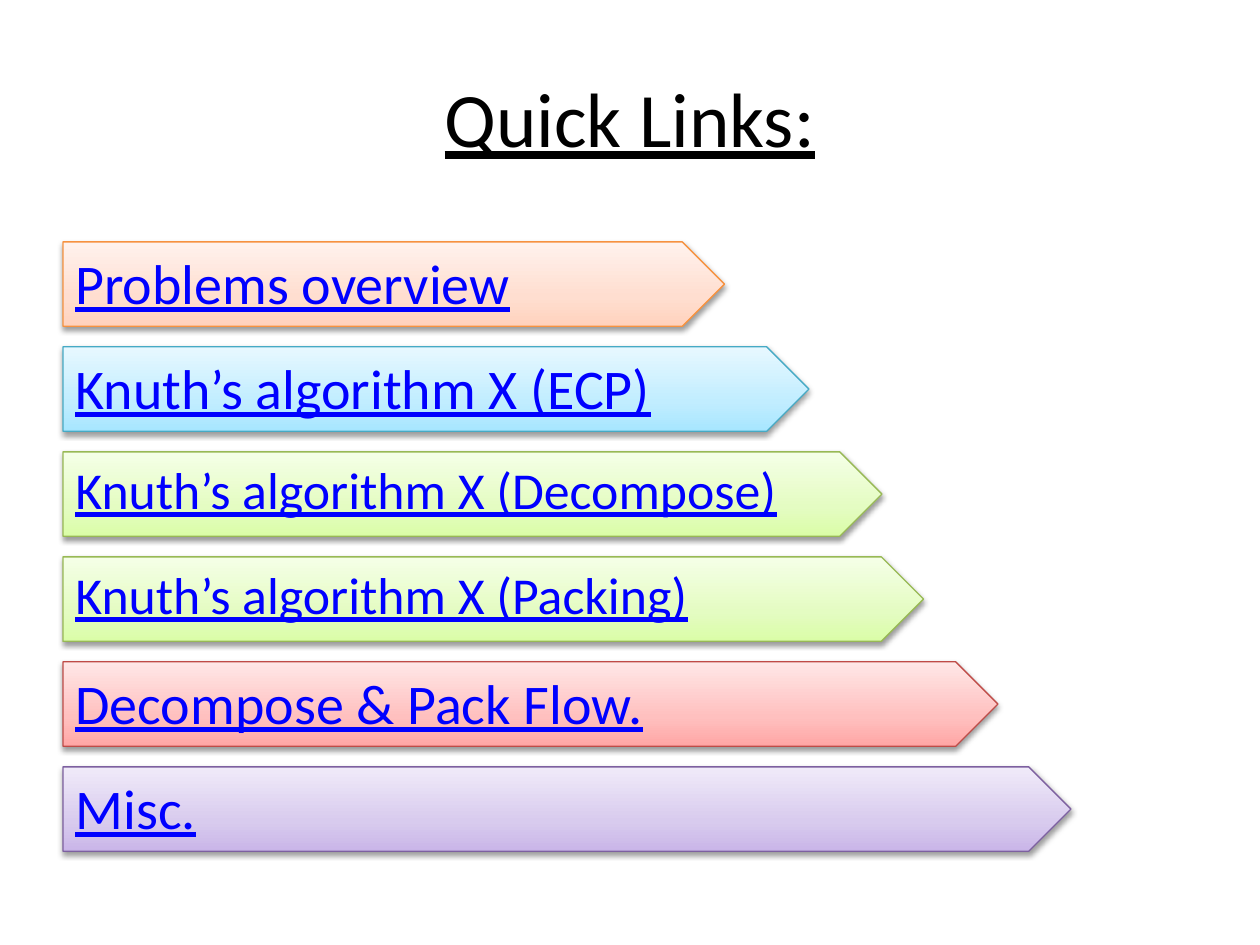
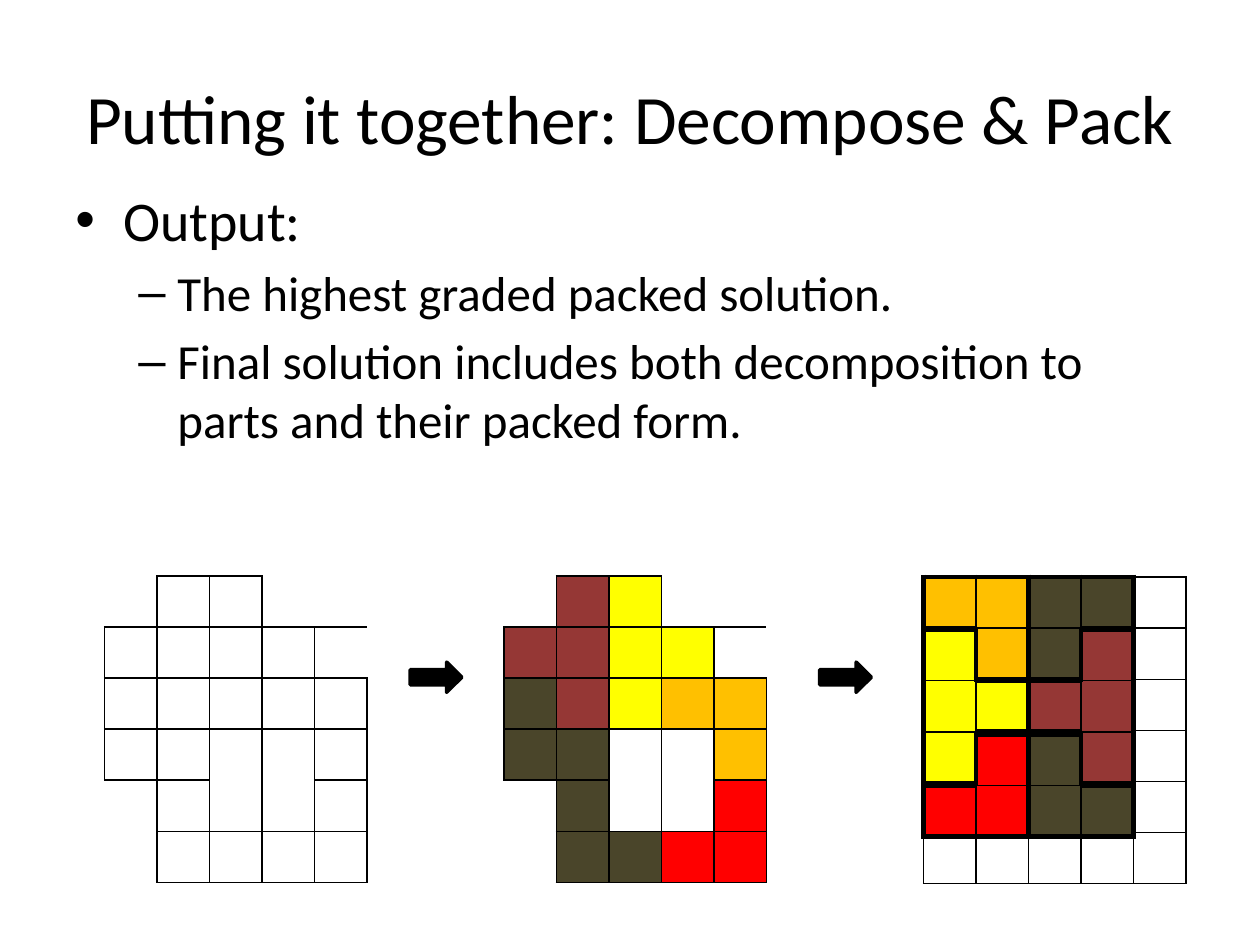
from copy import deepcopy
from lxml import etree
from pptx import Presentation
from pptx.dml.color import RGBColor
from pptx.enum import shapes, text
from pptx.oxml import ns
from pptx.util import Inches, Pt

BLACK = RGBColor(0x00, 0x00, 0x00)
WHITE = RGBColor(0xFF, 0xFF, 0xFF)
LINK_BLUE = RGBColor(0x00, 0x00, 0xFF)
MAROON = RGBColor(0x95, 0x37, 0x35)
YELLOW = RGBColor(0xFF, 0xFF, 0x00)
ORANGE = RGBColor(0xFF, 0xC0, 0x00)
OLIVE = RGBColor(0x4A, 0x45, 0x2A)
RED = RGBColor(0xFF, 0x00, 0x00)

PEACH_BAND = [RGBColor.from_string(c) for c in ("FFD2BD", "FFDED0", "FFF2ED", "F69240")]
SKY_BAND = [RGBColor.from_string(c) for c in ("A7E6FF", "C1EDFF", "E7F8FF", "46AAC5")]
LIME_BAND = [RGBColor.from_string(c) for c in ("DAFDA7", "E4FCC2", "F5FFE7", "98B955")]
ROSE_BAND = [RGBColor.from_string(c) for c in ("FFA6A5", "FFC0BF", "FFE7E7", "BF4C48")]
LILAC_BAND = [RGBColor.from_string(c) for c in ("C9B5E8", "D8CBEE", "F0EAF9", "7D60A0")]

FONT = "Calibri"
TITLE_FORMAT = {"name": FONT, "size": Pt(44), "underline": True}
LINK_FORMAT = {"name": FONT, "size": Pt(32), "underline": True}
BODY_FORMAT = {"name": FONT, "size": Pt(32)}

CELL_COLORS = {"W": WHITE, "M": MAROON, "Y": YELLOW, "O": ORANGE,
               "D": OLIVE, "R": RED, "_": WHITE}
BLANKS = "._"
NO_GRID_STYLE = "{2D5ABB26-0587-4C30-8999-92F81FD0307C}"
COL_WIDTH = 5 / 12
ROW_HEIGHT = 0.405
SIDES = {"a:lnL": (0, -1), "a:lnR": (0, 1), "a:lnT": (-1, 0), "a:lnB": (1, 0)}


def write(paragraph, words, color, formats):
    run = paragraph.add_run()
    run.text = words
    run.font.color.rgb = color
    for attribute, value in formats.items():
        setattr(run.font, attribute, value)


def draw_grid(slide, left, top, rows, outline=1, merges=()):
    height, width = len(rows), len(rows[0])
    frame = slide.shapes.add_table(height, width, Inches(left), Inches(top),
                                   Inches(COL_WIDTH * width), Inches(ROW_HEIGHT * height))
    grid = frame.table
    grid.first_row = grid.horz_banding = False
    frame._element.find(".//" + ns.qn("a:tableStyleId")).text = NO_GRID_STYLE
    for column in grid.columns:
        column.width = Inches(COL_WIDTH)
    for row in grid.rows:
        row.height = Inches(ROW_HEIGHT)
    for r, line in enumerate(rows):
        for c, code in enumerate(line):
            cell = grid.cell(r, c)
            properties = cell._tc.get_or_add_tcPr()
            for tag, (down, across) in SIDES.items():
                y, x = r + down, c + across
                inside = 0 <= y < height and 0 <= x < width
                neighbour = rows[y][x] if inside else "."
                if code in BLANKS and neighbour in BLANKS:
                    continue
                edge = outline if code in BLANKS or neighbour in BLANKS else 1
                border = etree.SubElement(properties, ns.qn(tag), w=str(Pt(edge)))
                paint = etree.SubElement(border, ns.qn("a:solidFill"))
                etree.SubElement(paint, ns.qn("a:srgbClr"), val=str(BLACK))
            if code == ".":
                cell.fill.background()
            else:
                cell.fill.solid()
                cell.fill.fore_color.rgb = CELL_COLORS[code]
    for first, last in merges:
        grid.cell(*first).merge(grid.cell(*last))


deck = Presentation()
deck.slide_width, deck.slide_height = Inches(10), Inches(7.5)

slides = []
for heading, changes in [
    ("Quick Links:", {}),
    ("Putting it together: Decompose & Pack", {"size": Pt(39.6), "underline": None}),
]:
    slide = deck.slides.add_slide(deck.slide_layouts[5])
    title = slide.shapes.title
    title.left, title.top = Inches(0.5), Inches(0.3)
    title.width, title.height = Inches(9), Inches(1.25)
    title.text_frame.vertical_anchor = text.MSO_ANCHOR.MIDDLE
    title.text_frame.paragraphs[0].alignment = text.PP_ALIGN.CENTER
    write(title.text_frame.paragraphs[0], heading, BLACK, {**TITLE_FORMAT, **changes})
    slides.append(slide)
links_slide, output_slide = slides

links = [
    ("Problems overview", 5.25, 5.25, 32, PEACH_BAND),
    ("Knuth’s algorithm X (ECP)", 5.92, 5.25, 32, SKY_BAND),
    ("Knuth’s algorithm X (Decompose)", 6.5, 6.08, 29.6, LIME_BAND),
    ("Knuth’s algorithm X (Packing)", 6.83, 5.25, 29.6, LIME_BAND),
    ("Decompose & Pack Flow.", 7.42, 6.92, 32, ROSE_BAND),
    ("Misc.", 8, 5.25, 32, LILAC_BAND),
]
for index, (words, band_width, label_width, size, colors) in enumerate(links):
    top = Inches(1.92 + index * 5 / 6)
    band = links_slide.shapes.add_shape(shapes.MSO_SHAPE.PENTAGON, Inches(0.5), top,
                                        Inches(band_width), Inches(0.67))
    band.fill.gradient()
    band.fill.gradient_angle = 90
    first_stop = band._element.spPr.find(".//" + ns.qn("a:gs"))
    first_stop.addnext(deepcopy(first_stop))
    for stop, position, color in zip(band.fill.gradient_stops, (0, 0.35, 1), colors):
        stop.position = position
        stop.color.rgb = color
    band.line.color.rgb = colors[3]
    band.line.width = Pt(0.75)
    effects = etree.SubElement(band._element.spPr, ns.qn("a:effectLst"))
    shadow = etree.SubElement(effects, ns.qn("a:outerShdw"), blurRad=str(Pt(3.1)),
                              dist=str(Pt(1.6)), dir="5400000", rotWithShape="0")
    shade = etree.SubElement(shadow, ns.qn("a:srgbClr"), val=str(BLACK))
    etree.SubElement(shade, ns.qn("a:alpha"), val="38000")

    label = links_slide.shapes.add_textbox(Inches(0.5), top, Inches(label_width), Inches(0.67))
    label.text_frame.word_wrap = True
    write(label.text_frame.paragraphs[0], words, LINK_BLUE, {**LINK_FORMAT, "size": Pt(size)})

draw_grid(output_slide, 7.33, 4.58, ["WWWWW"] * 6)
packed_parts = [
    (0, 1, ["Y.", "YY", "Y."]),
    (0, 0, ["OO", ".O"]),
    (2, 1, [".M", "MM", ".M"]),
    (0, 3, [".R", "RR"]),
    (2, 3, ["D.", "DD"]),
    (2, 0, ["DD", "D."]),
]
for column, row, part in packed_parts:
    draw_grid(output_slide, 7.33 + column * COL_WIDTH, 4.58 + row * COL_WIDTH, part, outline=3)

decomposed = ["_MY__", "MMYY_", "DMYOO", "DD__O", "_D__R", "_DDRR"]
undivided = ["".join("_" if code == "_" else "W" for code in line) for line in decomposed]
gaps = [((0, 3), (0, 4)), ((3, 2), (4, 2)), ((3, 3), (4, 3)), ((4, 0), (5, 0))]
for left, pattern in [(0.83, undivided), (4, decomposed)]:
    draw_grid(output_slide, left, 4.57, pattern, merges=gaps)

for left in (3.34, 6.59):
    step = output_slide.shapes.add_shape(shapes.MSO_SHAPE.UP_ARROW, Inches(left), Inches(5.17),
                                         Inches(0.24), Inches(0.41))
    step.rotation = 90
    step.shadow.inherit = False
    step.fill.solid()
    step.fill.fore_color.rgb = step.line.color.rgb = BLACK
    step.line.width = Pt(2)

summary = output_slide.shapes.add_textbox(Inches(0.5), Inches(1.42), Inches(9), Inches(4.95))
summary.text_frame.word_wrap = True
points = [
    ("Output:", 0, 32),
    ("The highest graded packed solution.", 1, 28),
    ("Final solution includes both decomposition to parts and their packed form.", 1, 28),
]
for index, (words, level, size) in enumerate(points):
    frame = summary.text_frame
    point = frame.add_paragraph() if index else frame.paragraphs[0]
    point.level = level
    point.space_before = Pt(size * 0.2)
    indent, bullet = [(0.38, "•"), (0.31, "–")][level]
    properties = point._p.get_or_add_pPr()
    properties.set("marL", str(Inches([0.38, 0.81][level])))
    properties.set("indent", str(-Inches(indent)))
    etree.SubElement(properties, ns.qn("a:buFont"), typeface="Arial")
    etree.SubElement(properties, ns.qn("a:buChar"), char=bullet)
    write(point, words, BLACK, {**BODY_FORMAT, "size": Pt(size)})

deck.save("out.pptx")
